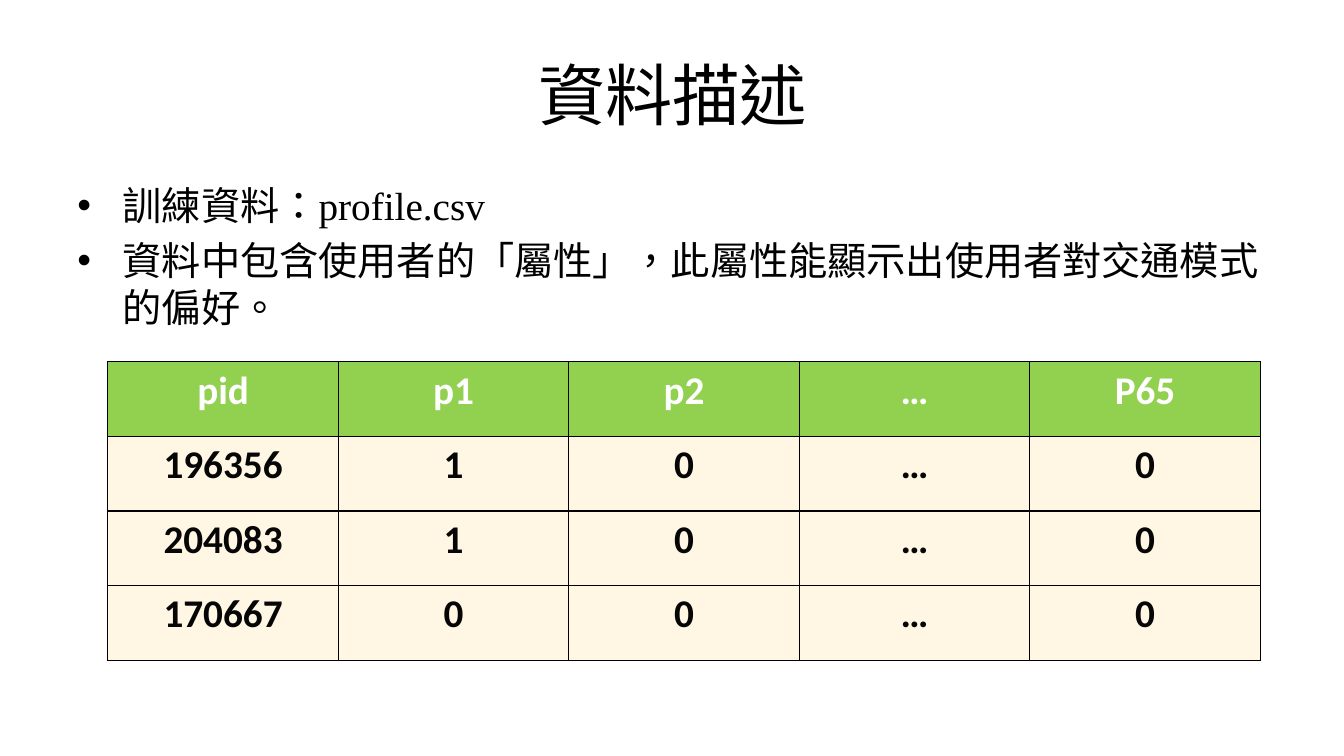
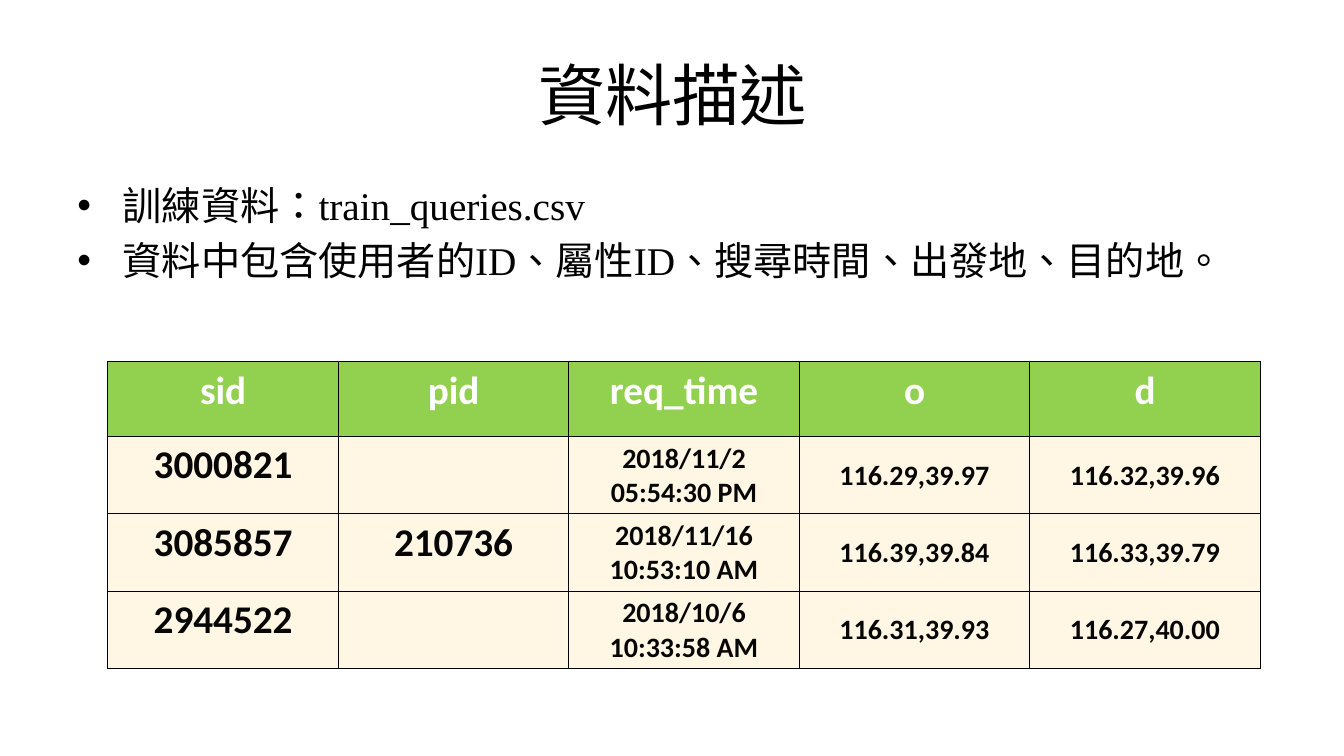
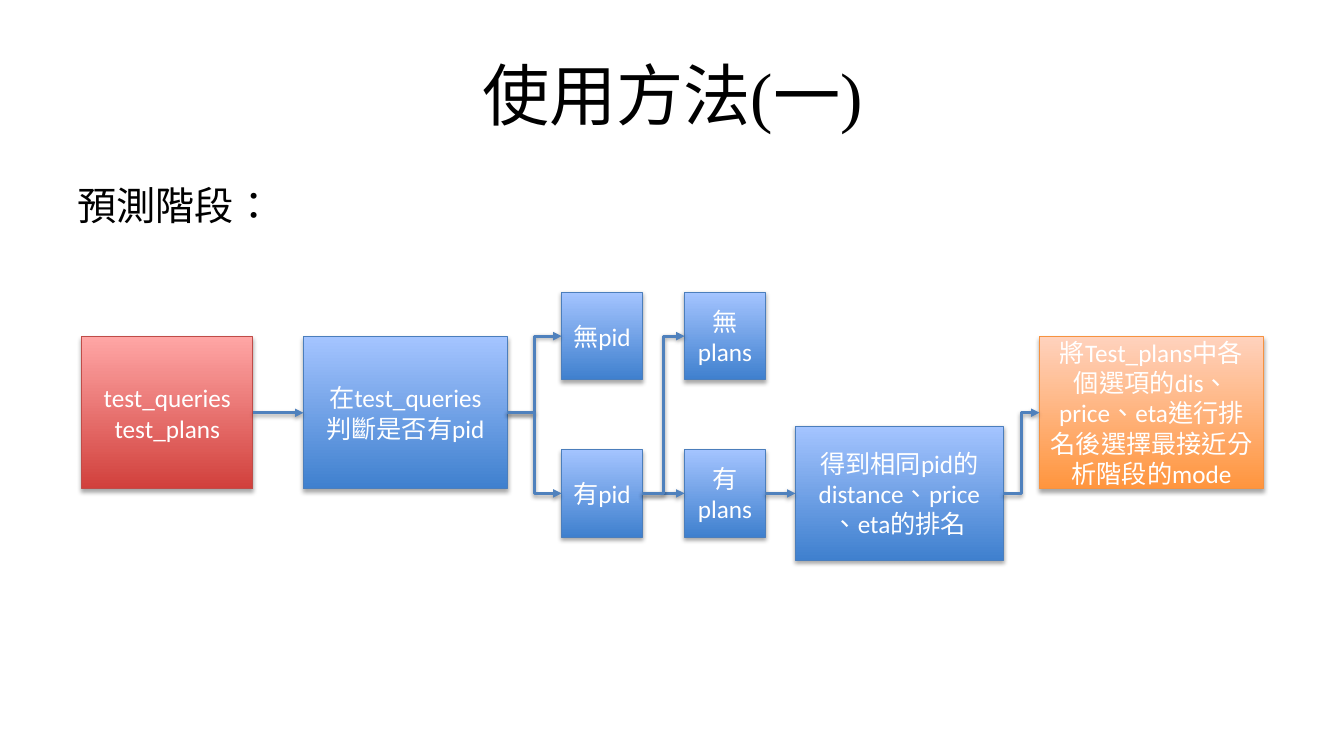
"""Build three slides on travel data: two tables and one flow chart."""
import dataclasses
import pptx
import pptx.dml.color
import pptx.enum.dml
import pptx.enum.shapes
import pptx.enum.text
import pptx.oxml
import pptx.oxml.ns
import pptx.util


@dataclasses.dataclass(frozen=True)
class Theme:
    head_font: str = "Times New Roman"
    cell_font: str = "Calibri"
    ink: str = "000000"
    white: str = "FFFFFF"
    dark: str = "060606"
    green: str = "92D050"
    cream: str = "FFF7E4"
    arrow: str = "4F81BD"
    title: int = 48
    body: int = 28
    small: int = 20
    node: int = 18


THEME = Theme()
PX = 9144
WIDE, HIGH = 1333, 750
TITLE = (67, 30, 1200, 125)
BODY = (67, 175, 1200, 495)
GRID = (107, 359, 1143, 296)
HANG = 45

TABLES = [
    ("資料描述",
     ["訓練資料：profile.csv",
      "資料中包含使用者的「屬性」，此屬性能顯示出使用者對交通模式的偏好。"],
     [("pid", "p1", "p2", "…", "P65"),
      ("196356", "1", "0", "…", "0"),
      ("204083", "1", "0", "…", "0"),
      ("170667", "0", "0", "…", "0")]),
    ("資料描述",
     ["訓練資料：train_queries.csv",
      "資料中包含使用者的ID、屬性ID、搜尋時間、出發地、目的地。"],
     [("sid", "pid", "req_time", "o", "d"),
      ("3000821", "", "2018/11/2 05:54:30 PM", "116.29,39.97", "116.32,39.96"),
      ("3085857", "210736", "2018/11/16 10:53:10 AM", "116.39,39.84", "116.33,39.79"),
      ("2944522", "", "2018/10/6 10:33:58 AM", "116.31,39.93", "116.27,40.00")]),
]

FLOW_TITLE = "使用方法(一)"
FLOW_TEXT = ["預測階段："]
TONES = {
    "blue": ("3F80CE", "A4C4FF", "4B7EBC"),
    "red": ("D1403C", "FFA6A5", "BF4C48"),
    "gold": ("FF953E", "FFD2BD", "F69240"),
}
NODES = {
    "input": ((81, 334, 170, 151), "red", ["test_queries", "test_plans"]),
    "check": ((301, 334, 202, 151), "blue", ["在test_queries", "判斷是否有pid"]),
    "no pid": ((557, 290, 80, 87), "blue", ["無pid"]),
    "has pid": ((557, 446, 80, 87), "blue", ["有pid"]),
    "no plans": ((679, 290, 80, 87), "blue", ["無plans"]),
    "has plans": ((679, 446, 80, 87), "blue", ["有plans"]),
    "rank": ((789, 423, 206, 133), "blue",
             ["得到相同pid的distance、price", "、eta的排名"]),
    "choose": ((1031, 334, 222, 151), "gold",
               ["將Test_plans中各個選項的dis、price、eta進行排名後選擇最接近分析階段的mode"]),
}
LINKS = [
    ("input", "check", "STRAIGHT"),
    ("check", "no pid", "ELBOW"),
    ("check", "has pid", "ELBOW"),
    ("has pid", "has plans", "STRAIGHT"),
    ("has pid", "no plans", "ELBOW"),
    ("has plans", "rank", "STRAIGHT"),
    ("rank", "choose", "ELBOW"),
]

ALIGN = pptx.enum.text.PP_ALIGN
ANCHOR = pptx.enum.text.MSO_ANCHOR
NS = pptx.oxml.ns.nsdecls("a")


def scale(*sizes):
    return [round(size * PX) for size in sizes]


def color(code):
    return pptx.dml.color.RGBColor.from_string(code)


def node_xml(text):
    return pptx.oxml.parse_xml(text)


def write(para, text, font, size, tint, bold=False):
    run = para.add_run()
    run.text = text
    run.font.name = font
    run.font.size = pptx.util.Pt(size)
    run.font.bold = bold
    run.font.color.rgb = color(tint)
    run._r.get_or_add_rPr().set("lang", "zh-TW")


def lines(frame, texts):
    for num, text in enumerate(texts):
        yield (frame.add_paragraph() if num else frame.paragraphs[0]), text


def shade(shape, alpha, dist):
    props = shape._element.spPr
    props.append(node_xml(
        f'<a:effectLst {NS}><a:outerShdw blurRad="40000" dist="{dist}" dir="5400000" '
        f'rotWithShape="0"><a:srgbClr val="{THEME.ink}"><a:alpha val="{alpha}000"/>'
        '</a:srgbClr></a:outerShdw></a:effectLst>'))


def start(deck, title, texts, bullet):
    slide = deck.slides.add_slide(deck.slide_layouts[6])
    frame = slide.shapes.add_textbox(*scale(*TITLE)).text_frame
    frame.word_wrap = True
    frame.vertical_anchor = ANCHOR.MIDDLE
    para = frame.paragraphs[0]
    para.alignment = ALIGN.CENTER
    write(para, title, THEME.head_font, THEME.title, THEME.ink)
    frame = slide.shapes.add_textbox(*scale(*BODY)).text_frame
    frame.word_wrap = True
    for para, text in lines(frame, texts):
        para.space_before = pptx.util.Pt(THEME.body * 0.2)
        if bullet:
            props = para._p.get_or_add_pPr()
            props.set("marL", str(HANG * PX))
            props.set("indent", str(-HANG * PX))
            props.append(node_xml(f'<a:buFont {NS} typeface="Arial"/>'))
            props.append(node_xml(f'<a:buChar {NS} char="•"/>'))
        write(para, text, THEME.head_font, THEME.body, THEME.ink)
    return slide


def fill_cell(cell, text, head):
    cell.fill.solid()
    cell.fill.fore_color.rgb = color(THEME.green if head else THEME.cream)
    props = cell._tc.get_or_add_tcPr()
    for num, side in enumerate("LRTB"):
        props.insert(num, node_xml(
            f'<a:ln{side} {NS} w="12700"><a:solidFill><a:srgbClr val="{THEME.ink}"/>'
            f'</a:solidFill></a:ln{side}>'))
    if not text:
        return
    if "," in text:
        cell.vertical_anchor = ANCHOR.MIDDLE
        cell.margin_left = cell.margin_right = cell.margin_top = PX
        cell.margin_bottom = 0
    para = cell.text_frame.paragraphs[0]
    para.alignment = ALIGN.CENTER
    size = THEME.small if "," in text or ":" in text else THEME.body
    write(para, text, THEME.cell_font, size, THEME.white if head else THEME.dark, True)


def add_grid(slide, rows):
    table = slide.shapes.add_table(len(rows), len(rows[0]), *scale(*GRID)).table
    for top, row in enumerate(rows):
        for left, text in enumerate(row):
            fill_cell(table.cell(top, left), text, top == 0)


def add_node(slide, place, tone, texts):
    low, high, edge = TONES[tone]
    box = slide.shapes.add_shape(pptx.enum.shapes.MSO_SHAPE.RECTANGLE, *scale(*place))
    box.fill.gradient()
    box.fill.gradient_angle = 90
    for stop, code, spot in zip(box.fill.gradient_stops, (low, high), (0, 1)):
        stop.color.rgb = color(code)
        stop.position = spot
    box.line.color.rgb = color(edge)
    box.line.width = pptx.util.Pt(0.75)
    shade(box, 35, 23000)
    frame = box.text_frame
    frame.word_wrap = True
    frame.vertical_anchor = ANCHOR.MIDDLE
    for para, text in lines(frame, texts):
        para.alignment = ALIGN.CENTER
        write(para, text, THEME.cell_font, THEME.node, THEME.white)
    return box


def add_link(slide, first, last, kind):
    form = pptx.enum.shapes.MSO_CONNECTOR[kind]
    link = slide.shapes.add_connector(form, 0, 0, 0, 0)
    link.begin_connect(first, 3)
    link.end_connect(last, 1)
    link.line.color.rgb = color(THEME.arrow)
    link.line.width = pptx.util.Pt(2)
    link.line._get_or_add_ln().append(node_xml(f'<a:tailEnd {NS} type="triangle"/>'))
    shade(link, 38, 20000)


def main():
    deck = pptx.Presentation()
    deck.slide_width, deck.slide_height = scale(WIDE, HIGH)
    for title, texts, rows in TABLES:
        add_grid(start(deck, title, texts, True), rows)
    slide = start(deck, FLOW_TITLE, FLOW_TEXT, False)
    boxes = {name: add_node(slide, *parts) for name, parts in NODES.items()}
    for first, last, kind in LINKS:
        add_link(slide, boxes[first], boxes[last], kind)
    deck.save("out.pptx")


if __name__ == "__main__":
    main()
